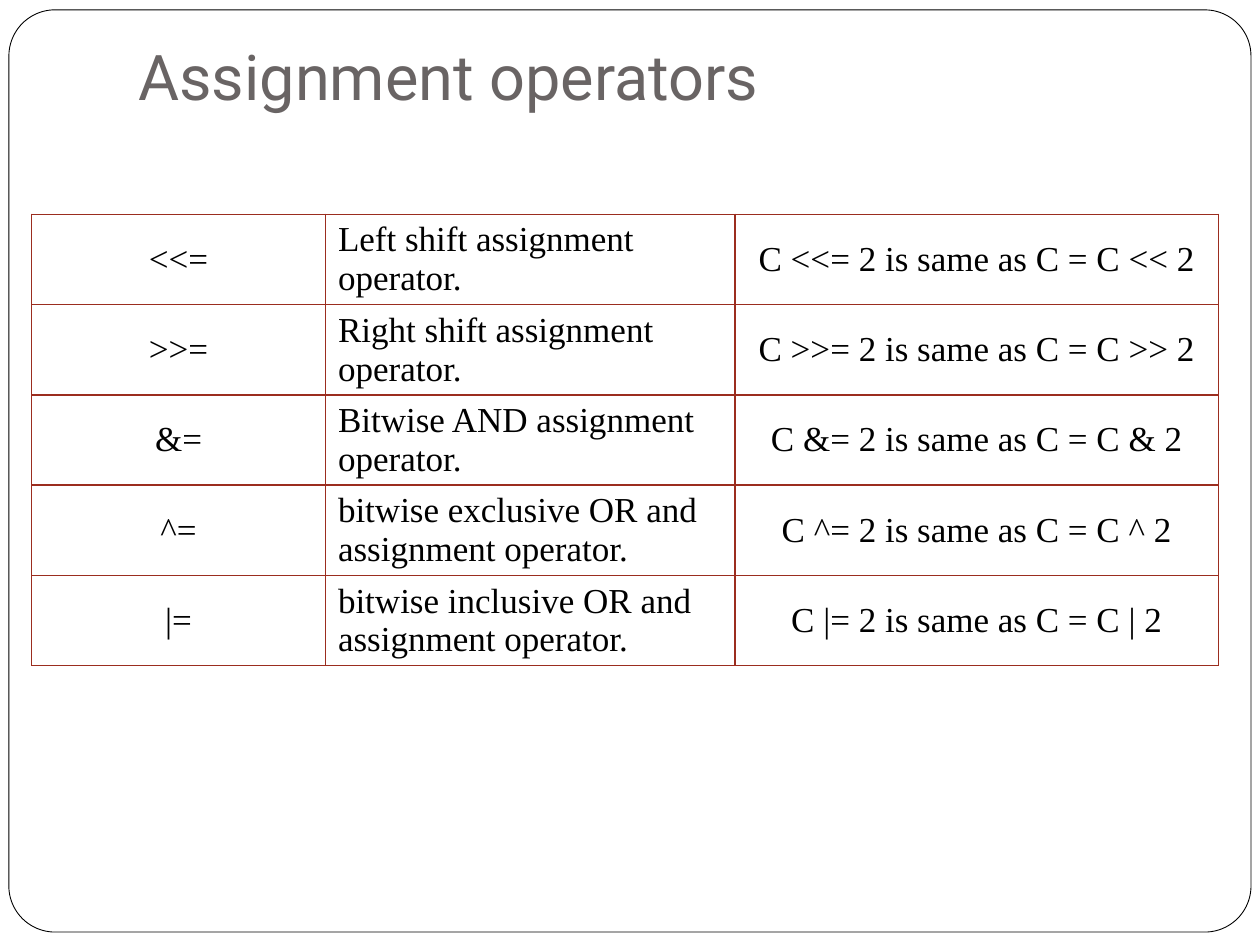
from dataclasses import dataclass

from lxml.etree import SubElement
from pptx import Presentation
from pptx.dml.color import RGBColor as RGB
from pptx.enum.shapes import MSO_SHAPE as Shape
from pptx.enum.text import MSO_ANCHOR as Anchor, PP_ALIGN as Align
from pptx.oxml.ns import qn
from pptx.util import Cm, Pt

TITLE = "Assignment operators"
OPERATORS = [
    ("<<=", "Left shift assignment operator.", "C <<= 2 is same as C = C << 2"),
    (">>=", "Right shift assignment operator.", "C >>= 2 is same as C = C >> 2"),
    ("&=", "Bitwise AND assignment operator.", "C &= 2 is same as C = C & 2"),
    ("^=", "bitwise exclusive OR and assignment operator.", "C ^= 2 is same as C = C ^ 2"),
    ("|=", "bitwise inclusive OR and assignment operator.", "C |= 2 is same as C = C | 2"),
]
# Width in cm and alignment of the operator, description and example columns
COLUMNS = [(5.92, Align.CENTER), (8.26, Align.LEFT), (9.74, Align.CENTER)]
ROW_HEIGHT = 1.82


@dataclass(frozen=True)
class Theme:
    paper: RGB = RGB(0xFF, 0xFF, 0xFF)
    ink: RGB = RGB(0, 0, 0)
    heading: RGB = RGB(0x69, 0x64, 0x64)
    rule: RGB = RGB(0x9B, 0x2D, 0x1F)
    title_font: str = "Roboto"
    body_font: str = "Times New Roman"
    title_size: Pt = Pt(36)
    body_size: Pt = Pt(20)
    frame_width: Pt = Pt(0.5)
    rule_width: Pt = Pt(1)


THEME = Theme()


def set_font(paragraph, name, size, color):
    paragraph.font.name = name
    paragraph.font.size = size
    paragraph.font.color.rgb = color


def add_frame(slide):
    frame = slide.shapes.add_shape(
        Shape.ROUNDED_RECTANGLE, Cm(0.18), Cm(0.2), Cm(25.04), Cm(18.59))
    frame.adjustments[0] = 0.05
    frame.shadow.inherit = False
    frame.fill.solid()
    frame.fill.fore_color.rgb = THEME.paper
    frame.line.color.rgb = THEME.ink
    frame.line.width = THEME.frame_width


def add_title(slide):
    title = slide.shapes.add_textbox(Cm(2.54), Cm(0.76), Cm(21.59), Cm(1.78)).text_frame
    title.word_wrap = True
    title.vertical_anchor = Anchor.BOTTOM
    title.margin_bottom = Cm(0.25)
    title.text = TITLE
    set_font(title.paragraphs[0], THEME.title_font, THEME.title_size, THEME.heading)


def add_borders(cell):
    """Rule all four sides; call before the fill, which must follow in the XML."""
    properties = cell._tc.get_or_add_tcPr()
    for side in ("a:lnL", "a:lnR", "a:lnT", "a:lnB"):
        border = SubElement(properties, qn(side), w=str(THEME.rule_width))
        fill = SubElement(border, qn("a:solidFill"))
        SubElement(fill, qn("a:srgbClr"), val=str(THEME.rule))


def add_operator_table(slide):
    width = sum(column_width for column_width, _ in COLUMNS)
    table = slide.shapes.add_table(
        len(OPERATORS), len(COLUMNS), Cm(0.64), Cm(4.32),
        Cm(width), Cm(ROW_HEIGHT * len(OPERATORS))).table
    table.first_row = table.horz_banding = False
    for column, (column_width, _) in zip(table.columns, COLUMNS):
        column.width = Cm(column_width)
    for row, entries in zip(table.rows, OPERATORS):
        row.height = Cm(ROW_HEIGHT)
        for cell, entry, (_, alignment) in zip(row.cells, entries, COLUMNS):
            cell.text = entry
            cell.vertical_anchor = Anchor.MIDDLE
            cell.margin_top = cell.margin_bottom = Cm(0)
            add_borders(cell)
            cell.fill.background()
            paragraph = cell.text_frame.paragraphs[0]
            paragraph.alignment = alignment
            set_font(paragraph, THEME.body_font, THEME.body_size, THEME.ink)


def main():
    deck = Presentation()
    deck.slide_width, deck.slide_height = Cm(25.4), Cm(19.05)
    slide = deck.slides.add_slide(deck.slide_layouts[6])
    add_frame(slide)
    add_title(slide)
    add_operator_table(slide)
    deck.save("out.pptx")


if __name__ == "__main__":
    main()
